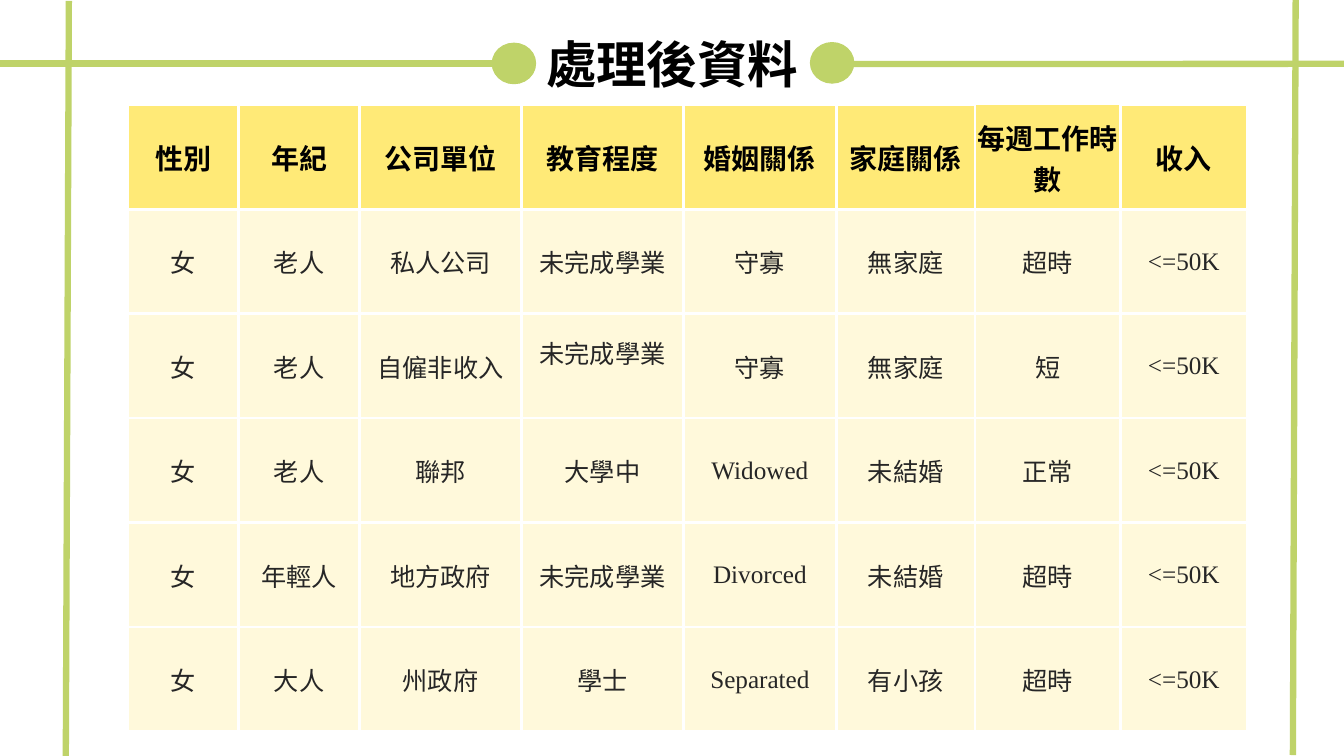
from pptx import Presentation
from pptx.dml.color import RGBColor
from pptx.enum.shapes import MSO_CONNECTOR, MSO_SHAPE
from pptx.enum.text import MSO_ANCHOR, MSO_AUTO_SIZE, PP_ALIGN
from pptx.oxml.ns import qn
from pptx.util import Pt
from lxml.etree import SubElement

BLACK = RGBColor(0x00, 0x00, 0x00)
DARK = RGBColor(0x26, 0x26, 0x26)
WHITE = RGBColor(0xFF, 0xFF, 0xFF)
GREEN = RGBColor(0xBF, 0xD3, 0x69)
HEADER_YELLOW = RGBColor(0xFF, 0xEA, 0x77)
BODY_YELLOW = RGBColor(0xFF, 0xD8, 0x00)

CJK_FONT = "Noto Sans CJK SC"
LATIN_FONT = "Times New Roman"
TITLE_FORMAT = {"name": CJK_FONT, "size": Pt(36), "bold": True}
HEADER_FORMAT = {"name": LATIN_FONT, "size": Pt(20), "bold": True}
BODY_FORMAT = {"name": LATIN_FONT, "size": Pt(18), "bold": False}
CELL_FORMAT = {"margin_left": Pt(0.75), "margin_right": Pt(0.75),
               "margin_top": Pt(0.75), "margin_bottom": Pt(0),
               "vertical_anchor": MSO_ANCHOR.MIDDLE}

COLUMN_WIDTHS = [79.2, 86.2, 115.9, 115.5, 109.4, 98.9, 104, 90.4]
ROW_HEIGHT = 74.6
RECORDS = [
    ["性別", "年紀", "公司單位", "教育程度", "婚姻關係", "家庭關係", "每週工作時數", "收入"],
    ["女", "老人", "私人公司", "未完成學業", "守寡", "無家庭", "超時", "<=50K"],
    ["女", "老人", "自僱非收入", "未完成學業", "守寡", "無家庭", "短", "<=50K"],
    ["女", "老人", "聯邦", "大學中", "Widowed", "未結婚", "正常", "<=50K"],
    ["女", "年輕人", "地方政府", "未完成學業", "Divorced", "未結婚", "超時", "<=50K"],
    ["女", "大人", "州政府", "學士", "Separated", "有小孩", "超時", "<=50K"],
]
HOURS_HEADER = (0, 6)
RAISED_CELL = (2, 3)


def apply_format(target, values):
    for name, value in values.items():
        setattr(target, name, value)


def write_text(paragraph, text, values, color):
    run = paragraph.add_run()
    run.text = text
    apply_format(run.font, values)
    run.font.color.rgb = color
    SubElement(run.font._element, qn("a:ea"), typeface=CJK_FONT)


def add_title(slide, text):
    title = slide.shapes.add_textbox(Pt(383), Pt(20.2), Pt(196.6), Pt(51))
    title.text_frame.word_wrap = False
    title.text_frame.auto_size = MSO_AUTO_SIZE.SHAPE_TO_FIT_TEXT
    write_text(title.text_frame.paragraphs[0], text, TITLE_FORMAT, BLACK)


def add_green_line(slide, x1, y1, x2, y2):
    line = slide.shapes.add_connector(
        MSO_CONNECTOR.STRAIGHT, Pt(x1), Pt(y1), Pt(x2), Pt(y2))
    line.line.color.rgb = GREEN
    line.line.width = Pt(4.5)
    SubElement(line._element.spPr, qn("a:effectLst"))


def add_green_dot(slide, left, top):
    dot = slide.shapes.add_shape(
        MSO_SHAPE.OVAL, Pt(left), Pt(top), Pt(31), Pt(29))
    dot.shadow.inherit = False
    dot.fill.solid()
    dot.fill.fore_color.rgb = GREEN
    dot.line.color.rgb = GREEN
    dot.line.width = Pt(0.75)


def add_borders(cell, sides):
    properties = cell._tc.get_or_add_tcPr()
    for side in sides:
        border = SubElement(properties, qn(f"a:ln{side}"), w=str(Pt(2.25)))
        fill = SubElement(border, qn("a:solidFill"))
        SubElement(fill, qn("a:srgbClr"), val=str(WHITE))


def fill_cell(cell, color, opacity=100):
    cell.fill.solid()
    cell.fill.fore_color.rgb = color
    if opacity < 100:
        tint = cell._tc.tcPr.find(qn("a:solidFill")).find(qn("a:srgbClr"))
        SubElement(tint, qn("a:alpha"), val=str(opacity * 1000))


def add_records_table(slide):
    table = slide.shapes.add_table(
        len(RECORDS), len(COLUMN_WIDTHS), Pt(91.4), Pt(74.9),
        Pt(sum(COLUMN_WIDTHS)), Pt(ROW_HEIGHT * len(RECORDS))).table
    table.first_row = table.horz_banding = False
    for column, width in zip(table.columns, COLUMN_WIDTHS):
        column.width = Pt(width)
    for r, record in enumerate(RECORDS):
        table.rows[r].height = Pt(ROW_HEIGHT)
        for c, text in enumerate(record):
            cell = table.cell(r, c)
            apply_format(cell, CELL_FORMAT)
            add_borders(cell, "LRB" if (r, c) == HOURS_HEADER else "LRTB")
            paragraph = cell.text_frame.paragraphs[0]
            paragraph.alignment = PP_ALIGN.CENTER
            if r == 0:
                fill_cell(cell, HEADER_YELLOW)
                write_text(paragraph, text, HEADER_FORMAT, BLACK)
            else:
                fill_cell(cell, BODY_YELLOW, 14)
                write_text(paragraph, text, BODY_FORMAT, DARK)
    # One entry sits a little above the middle of its row
    table.cell(*RAISED_CELL).margin_bottom = Pt(20)


def main():
    presentation = Presentation()
    presentation.slide_width, presentation.slide_height = Pt(960), Pt(540)
    slide = presentation.slides.add_slide(presentation.slide_layouts[6])

    # Title and table
    add_title(slide, "處理後資料")
    add_records_table(slide)

    # Rules and dots beside the title
    add_green_line(slide, 0, 45.4, 369.4, 45.4)
    add_green_dot(slide, 351.6, 30.8)
    add_green_line(slide, 609.8, 45.8, 960, 45.6)
    add_green_dot(slide, 578.9, 30.4)

    # Side rules
    add_green_line(slide, 47, 540, 49.2, 0.7)
    add_green_line(slide, 923.5, 539.3, 925.5, 0)

    presentation.save("out.pptx")


if __name__ == "__main__":
    main()
